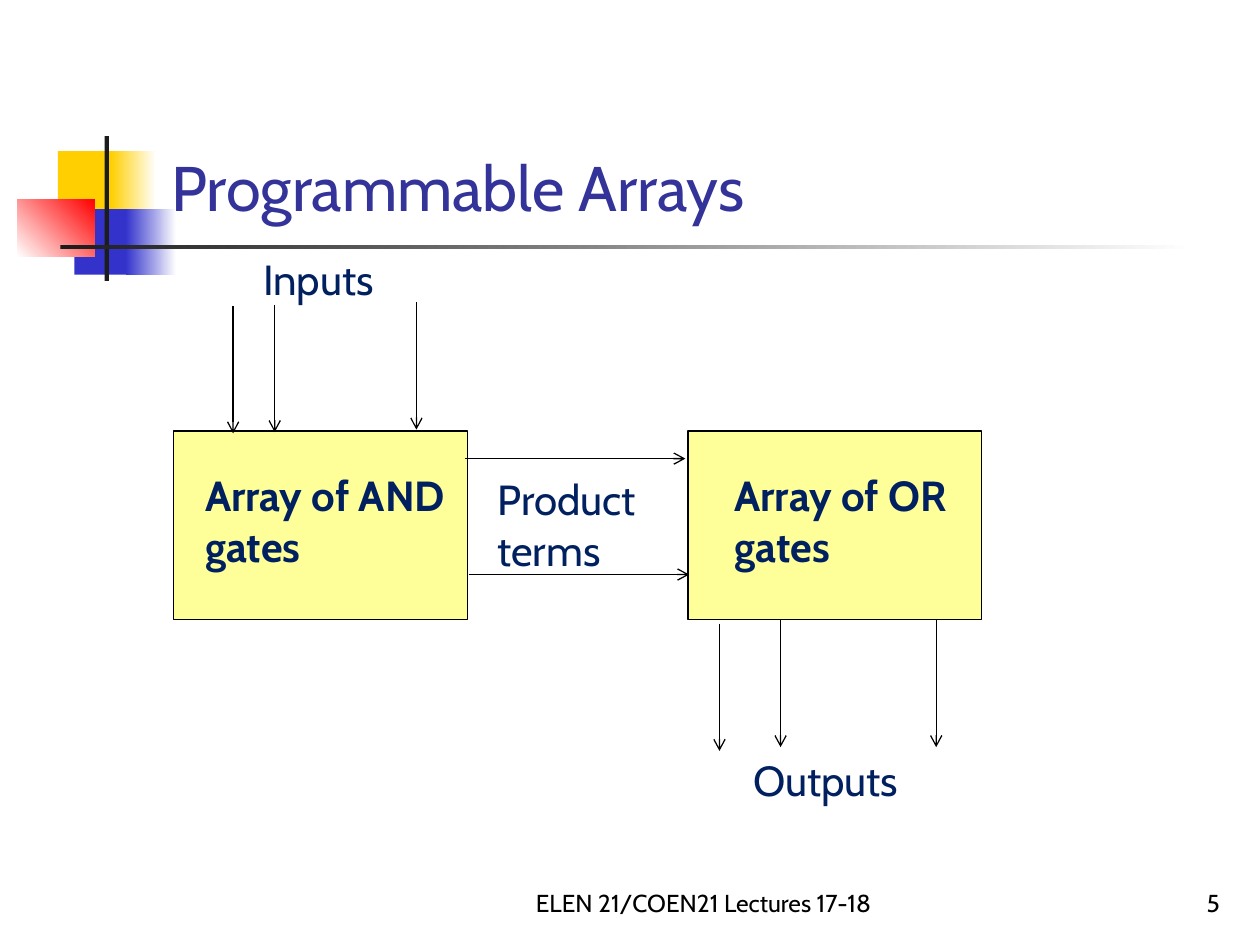
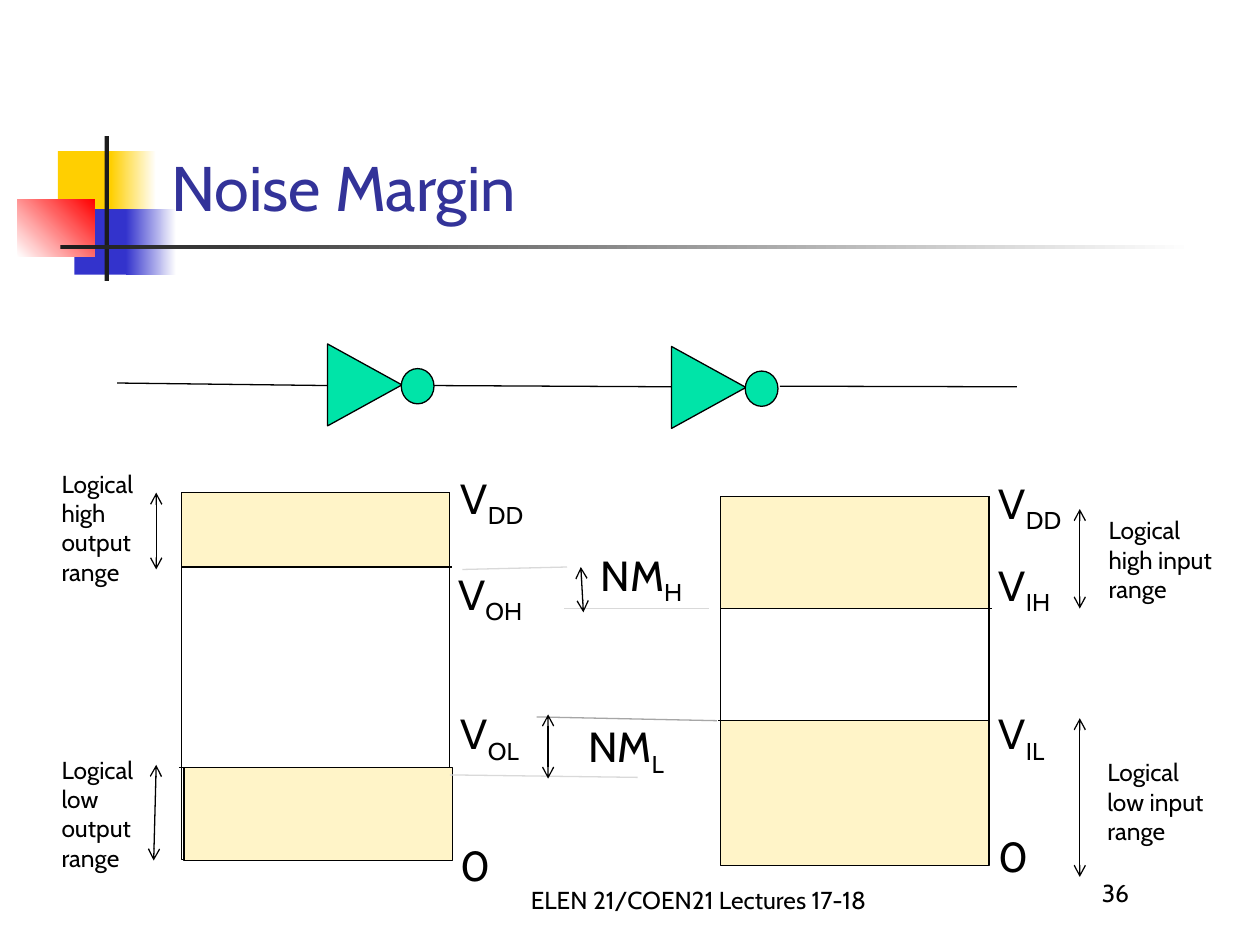
from lxml import etree
from pptx import Presentation
from pptx.dml.color import RGBColor
from pptx.enum.shapes import MSO_CONNECTOR, MSO_SHAPE
from pptx.enum.text import MSO_ANCHOR, PP_ALIGN
from pptx.oxml.ns import qn
from pptx.util import Inches, Pt

RECT, OVAL = MSO_SHAPE.RECTANGLE, MSO_SHAPE.OVAL
WEDGE = MSO_SHAPE.ISOSCELES_TRIANGLE
LINE = MSO_CONNECTOR.STRAIGHT
TOP, BOTTOM = MSO_ANCHOR.TOP, MSO_ANCHOR.BOTTOM
LEFT, MID, RIGHT = PP_ALIGN.LEFT, PP_ALIGN.CENTER, PP_ALIGN.RIGHT

COLS, ROWS = 100, 75
FONT = "Cabin"
BLACK, WHITE, DARK = "000000", "FFFFFF", "1C1C1C"
GOLD, BLUE, RED = "FFCF01", "3333CC", "FF0000"
TITLE, NAVY = "333399", "002060"
YELLOW, CREAM, GREEN = "FFFF99", "FFF4C8", "00E4A8"
GRAY, PALE = "A6A6A6", "D9D9D9"
COURSE = "ELEN 21/COEN21 Lectures 17-18"


def hue(code):
    return RGBColor.from_string(code)


class Deck:
    """Draws on the current slide; lengths are columns and rows of the grid."""

    def __init__(self):
        self.prs = Presentation()
        self.prs.slide_width = Inches(10)
        self.prs.slide_height = Inches(7.5)
        self.col = self.prs.slide_width / COLS
        self.row = self.prs.slide_height / ROWS
        self.slide = None

    def cells(self, *spans):
        """Turn alternating columns and rows into lengths."""
        return [round(n * (self.row if i % 2 else self.col))
                for i, n in enumerate(spans)]

    def page(self, title, number, foot, num):
        self.slide = self.prs.slides.add_slide(self.prs.slide_layouts[6])
        self.shape(4.6, 12, 4.8, 5.2, GOLD, edge=None)
        self.fade(8.8, 12, 3.6, 5.2, GOLD, WHITE)
        self.shape(5.9, 16.6, 4.6, 5.2, BLUE, edge=None)
        self.fade(10, 16.6, 4, 5.2, BLUE, WHITE)
        self.fade(1.4, 15.8, 6.1, 4.6, WHITE, RED, 45)
        self.shape(8.3, 10.8, 0.35, 11.5, DARK, edge=None)
        self.fade(4.8, 19.45, 90, 0.35, DARK, WHITE)
        self.text(title, 12.6, 2.3, 85.2, 16, size=36, color=TITLE,
                  anchor=BOTTOM)
        self.text(COURSE, *foot, 31.7, 5, size=14, align=MID, anchor=BOTTOM)
        self.text(number, *num, 20.8, 5, size=14, align=RIGHT, anchor=BOTTOM)

    def shape(self, x, y, w, h, fill=None, kind=RECT, edge=BLACK, turn=0):
        item = self.slide.shapes.add_shape(kind, *self.cells(x, y, w, h))
        item.shadow.inherit = False
        item.rotation = turn
        if fill:
            item.fill.solid()
            item.fill.fore_color.rgb = hue(fill)
        else:
            item.fill.background()
        if edge:
            item.line.color.rgb = hue(edge)
            item.line.width = Pt(0.75)
        else:
            item.line.fill.background()
        return item

    def fade(self, x, y, w, h, start, end, angle=0):
        """Borderless band that blends from start to end."""
        fill = self.shape(x, y, w, h, edge=None).fill
        fill.gradient()
        fill.gradient_angle = angle
        for stop, code in zip(fill.gradient_stops, (start, end)):
            stop.color.rgb = hue(code)

    def line(self, x1, y1, x2, y2, color=BLACK, heads=()):
        """Straight line; heads lists the ends to point, in XML order."""
        item = self.slide.shapes.add_connector(
            LINE, *self.cells(x1, y1, x2, y2))
        item.line.color.rgb = hue(color)
        item.line.width = Pt(0.75)
        edge = item.line._get_or_add_ln()
        for head in heads:
            etree.SubElement(edge, qn(f"a:{head}"), type="arrow")
        etree.SubElement(item._element.spPr, qn("a:effectLst"))

    def arrow(self, *ends):
        self.line(*ends, heads=("tailEnd",))

    def span(self, *ends):
        """Arrow with both ends pointed."""
        self.line(*ends, heads=("headEnd", "tailEnd"))

    def text(self, words, x, y, w, h, sub="", size=24, color=BLACK,
             bold=False, align=LEFT, anchor=TOP):
        box = self.slide.shapes.add_textbox(*self.cells(x, y, w, h))
        frame = box.text_frame
        frame.word_wrap = True
        frame.vertical_anchor = anchor
        para = frame.paragraphs[0]
        para.alignment = align
        for part in filter(None, (words, sub)):
            run = para.add_run()
            run.text = part
            font = run.font
            font.name, font.size, font.bold = FONT, Pt(size), bold
            font.color.rgb = hue(color)
            if part is sub:
                run._r.get_or_add_rPr().set("baseline", "-25000")

    def gate(self, x, y):
        """Inverter: a triangle turned right with a bubble at its tip."""
        self.shape(x, y, 6.5, 5.9, GREEN, WEDGE, turn=90)
        self.shape(x + 6.15, y + 1.65, 2.6, 2.8, GREEN, OVAL)

    def panel(self, x, y, high, low, shift=0):
        """Voltage range with a high band and a low band, as (top, height)."""
        self.shape(x, y, 21.3, 29.1)
        self.shape(x, y, 21.3, high, CREAM)
        self.shape(x + shift, low[0], 21.3, low[1], CREAM)
        self.line(x, y + high, x + 21.5, y + high)
        self.line(x - 0.2, low[0], x + 21.2, low[0])


def arrays(deck):
    deck.page("Programmable Arrays", "5", (40, 68.3), (77, 68.3))
    for x in (13.8, 54.6):
        deck.shape(x, 34.2, 23.3, 15, YELLOW)
    for x, y in ((36.9, 36.4), (37.2, 45.6)):
        deck.arrow(x, y, x + 17.5, y)
    for x, y in ((18.5, 24.3), (21.8, 24.2), (33.05, 24),
                 (57.1, 49.5), (61.95, 49.2), (74.3, 49.2)):
        deck.arrow(x, y, x, y + 10.1)
    for words, x, y, w, bold in (
            ("Array of AND gates", 15.3, 36.8, 22.9, True),
            ("Array of OR gates", 57.3, 36.8, 18.9, True),
            ("Inputs", 19.9, 19.6, 12.5, False),
            ("Product terms", 38.5, 37.1, 17.2, False),
            ("Outputs", 58.8, 59.4, 17.4, False)):
        deck.text(words, x, y, w, 5, color=NAVY, bold=bold)


def margin(deck):
    deck.page("Noise Margin", "36", (39.6, 68.1), (69.8, 67.5))
    for wire in ((9.3, 30.4, 26, 30.6), (34.4, 30.6, 53.3, 30.7),
                 (61.9, 30.65, 80.7, 30.7)):
        deck.line(*wire)
    deck.gate(25.7, 27.6)
    deck.gate(53, 27.8)

    deck.panel(14.4, 39.1, 5.9, (60.9, 7.4), shift=0.2)
    deck.panel(57.2, 39.4, 8.9, (57.2, 11.5))
    for words, sub, x, y in (
            ("V", "DD", 35.6, 37), ("V", "OH", 35.4, 44.6),
            ("V", "OL", 35.6, 55.7), ("0", "", 35.6, 66.1),
            ("V", "DD", 78.3, 37.4), ("V", "IH", 78.3, 43.9),
            ("V", "IL", 78.3, 55.7), ("0", "", 78.3, 65.4),
            ("NM", "H", 46.7, 43.1), ("NM", "L", 45.7, 56.7)):
        deck.text(words, x, y, 9.4, 5, sub=sub)
    for words, x, y, w in (
            ("Logical high output range", 3.9, 36.7, 8.3),
            ("Logical low output range", 3.9, 59.4, 8.3),
            ("Logical high input range", 87, 40.4, 10.9),
            ("Logical low input range", 86.9, 59.6, 10.4)):
        deck.text(words, x, y, w, 10.4, size=14)

    for color, *ends in (
            (GRAY, 56.9, 57.2, 42.6, 56.9), (PALE, 35.7, 61.5, 50.6, 61.7),
            (PALE, 36.7, 45.2, 45, 45), (PALE, 44.8, 48.3, 56.3, 48.3)):
        deck.line(*ends, color=color)
    for ends in ((12.4, 39.1, 12.4, 45.2), (12.4, 60.7, 12.2, 68.3),
                 (85.7, 40.4, 85.7, 48.3), (85.7, 57, 85.7, 69.6),
                 (43.5, 56.7, 43.5, 61.8), (46.1, 45, 46.3, 48.6)):
        deck.span(*ends)


def main():
    deck = Deck()
    arrays(deck)
    margin(deck)
    deck.prs.save("out.pptx")


if __name__ == "__main__":
    main()
